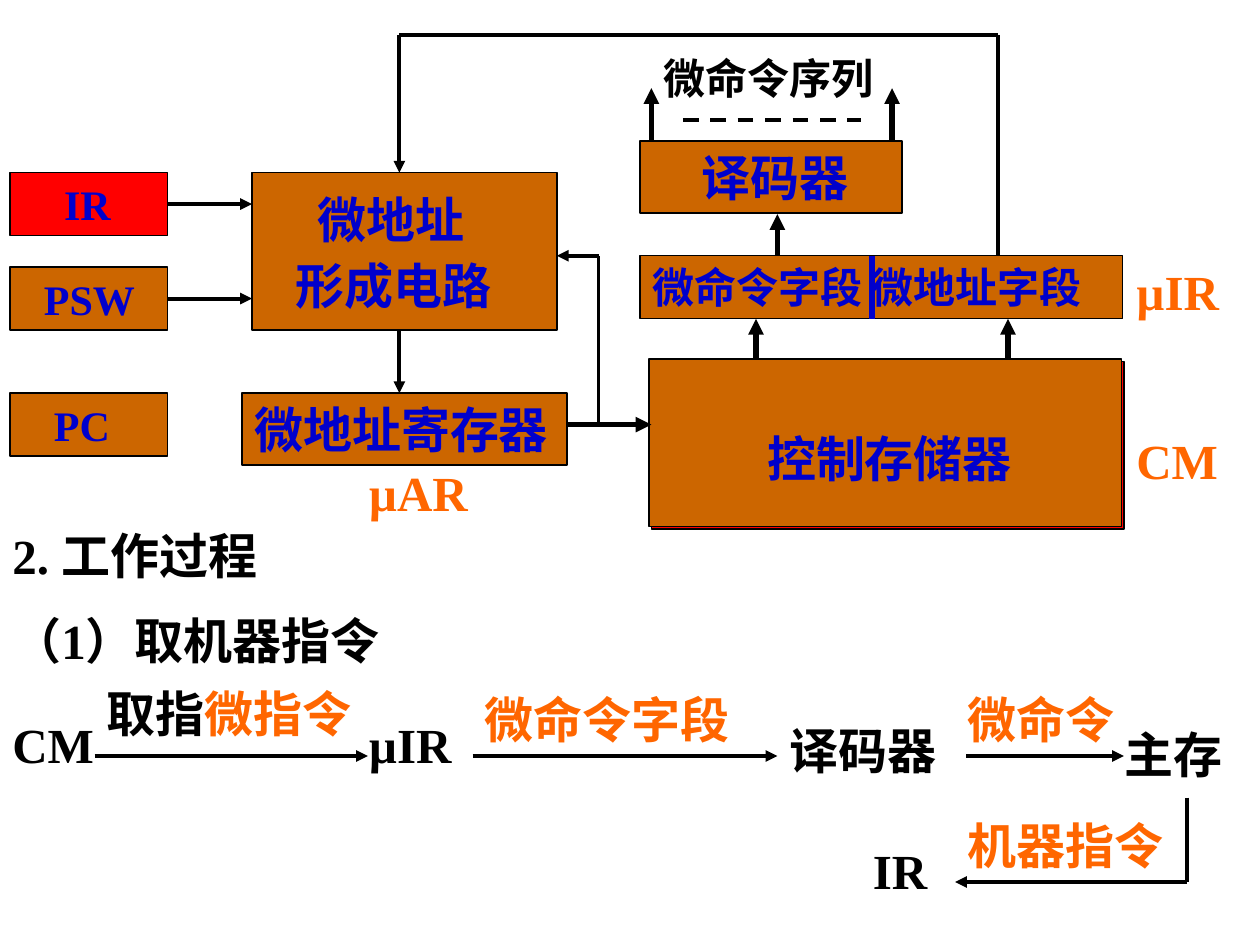
from itertools import pairwise

from lxml import etree
from pptx import Presentation
from pptx.dml.color import RGBColor
from pptx.enum.dml import MSO_LINE
from pptx.enum.shapes import MSO_CONNECTOR, MSO_SHAPE
from pptx.enum.text import MSO_ANCHOR, PP_ALIGN
from pptx.oxml.ns import qn
from pptx.util import Inches, Pt

RECT, STRAIGHT = MSO_SHAPE.RECTANGLE, MSO_CONNECTOR.STRAIGHT
DASH, TOP, LEFT = MSO_LINE.DASH, MSO_ANCHOR.TOP, PP_ALIGN.LEFT

THEME = {
    "font": "Times New Roman",
    "black": "000000", "blue": "0000CC", "orange": "FF6600",
    "brown": "CC6600", "red": "FF0000",
    "large": 28, "small": 24,
    "outline": 0.75, "thin": 2.25, "thick": 3,
}
TIGHT = 0.7

# left, top, width, height, fill, label, size, label indent
BLOCKS = [
    (2, 1.37, 2.42, 1.25, "brown", "", "large", 0),
    (0.08, 1.37, 1.25, 0.5, "red", "IR", "small", 0.33),
    (0.08, 2.12, 1.25, 0.5, "brown", "PSW", "small", 0.17),
    (0.08, 3.12, 1.25, 0.5, "brown", "PC", "small", 0.25),
    (1.92, 3.12, 2.58, 0.57, "brown", "微地址寄存器", "large", 0),
    (5.17, 2.87, 3.75, 1.33, "red", "", "large", 0),
    (5.15, 2.85, 3.75, 1.33, "brown", "", "large", 0),
    (5.08, 2.03, 3.83, 0.5, "brown", "微命令字段 微地址字段", "small", 0),
    (5.08, 1.12, 2.08, 0.57, "brown", "译码器", "large", 0.39),
]

# points, colour, weight, has an arrowhead
WIRES = [
    ([(1.33, 1.62), (2, 1.62)], "black", "thin", True),
    ([(1.33, 2.37), (2, 2.37)], "black", "thin", True),
    ([(3.17, 2.62), (3.17, 3.12)], "black", "thin", True),
    ([(4.5, 3.37), (5.17, 3.37)], "black", "thick", True),
    ([(4.75, 3.37), (4.75, 2.03), (4.42, 2.03)], "black", "thin", True),
    ([(7.92, 2.03), (7.92, 0.28), (3.17, 0.28), (3.17, 1.37)], "black", "thin", True),
    ([(6, 2.85), (6, 2.53)], "black", "thick", True),
    ([(8, 2.85), (8, 2.53)], "black", "thick", True),
    ([(6.92, 2.03), (6.92, 2.53)], "blue", "thick", False),
    ([(6.17, 2.03), (6.17, 1.7)], "black", "thick", True),
    ([(5.17, 1.12), (5.17, 0.7)], "black", "thick", True),
    ([(7.08, 1.12), (7.08, 0.7)], "black", "thick", True),
    ([(0.75, 6), (2.92, 6)], "black", "thin", True),
    ([(3.75, 6), (6.17, 6)], "black", "thin", True),
    ([(7.67, 6), (8.92, 6)], "black", "thin", True),
    ([(9.42, 6.33), (9.42, 7), (7.58, 7)], "black", "thin", True),
]
OMITTED_OUTPUTS = [(5.42, 0.95), (6.83, 0.95)]

# left, top, width, height, runs, size, line spacing, indent
LABELS = [
    (2.75, 3.62, 1.33, 0.57, [("µAR", "orange")], "large", 1, 0.08),
    (8.92, 3.37, 1.08, 0.57, [("CM", "orange")], "large", 1, 0),
    (8.92, 2.03, 1.08, 0.57, [("µIR", "orange")], "large", 1, 0),
    (5.99, 3.35, 2.33, 0.57, [("控制存储器", "blue")], "large", 1, 0),
    (5.17, 0.37, 2.08, 0.5, [("微命令序列", "black")], "small", 1, 0),
    (0, 4.25, 3.83, 0.43, [("2. 工作过程", "black")], "large", TIGHT, 0),
    (0, 4.92, 5.92, 0.43, [("（1）取机器指令", "black")], "large", TIGHT, 0),
    (0, 5.75, 1.67, 0.43, [("CM", "black")], "large", TIGHT, 0),
    (0.75, 5.5, 3, 0.43, [("取指", "black"), ("微指令", "orange")], "large", TIGHT, 0),
    (2.83, 5.75, 1.33, 0.43, [("µIR", "black")], "large", TIGHT, 0),
    (3.75, 5.42, 2.75, 0.57, [("微命令字段", "orange")], "large", 1, 0),
    (6.17, 5.67, 2.17, 0.57, [("译码器", "black")], "large", 1, 0),
    (7.58, 5.42, 2.42, 0.57, [("微命令", "orange")], "large", 1, 0),
    (8.83, 5.7, 1.17, 0.57, [("主存", "black")], "large", 1, 0),
    (7.58, 6.42, 2.42, 0.57, [("机器指令", "orange")], "large", 1, 0),
    (6.83, 6.75, 1.33, 0.43, [("IR", "black")], "large", TIGHT, 0),
]
ADDRESS_CIRCUIT = (2.25, 1.62, 2.25, 0.91)
ADDRESS_CIRCUIT_LINES = [("微地址", 0.17), ("形成电路", 0)]


def color(name):
    return RGBColor.from_string(THEME[name])


def write(paragraph, runs, size, spacing=1, indent=0, before=0):
    paragraph.alignment = LEFT
    paragraph.line_spacing = spacing
    paragraph.space_before = Pt(before)
    if indent:
        properties = paragraph._p.get_or_add_pPr()
        properties.set("marL", str(Inches(indent)))
        properties.set("indent", "0")
    for words, tint in runs:
        run = paragraph.add_run()
        run.text = words
        run.font.name = THEME["font"]
        run.font.size = Pt(THEME[size])
        run.font.bold = True
        run.font.color.rgb = color(tint)


def prepare_frame(shape):
    frame = shape.text_frame
    frame.word_wrap = True
    frame.vertical_anchor = TOP
    return frame


def add_block(slide, left, top, width, height, fill, label, size, indent):
    block = slide.shapes.add_shape(RECT, *map(Inches, (left, top, width, height)))
    block.shadow.inherit = False
    block.fill.solid()
    block.fill.fore_color.rgb = color(fill)
    block.line.color.rgb = color("black")
    block.line.width = Pt(THEME["outline"])
    if label:
        write(prepare_frame(block).paragraphs[0], [(label, "blue")], size, indent=indent)


def add_frame(slide, *bounds):
    return prepare_frame(slide.shapes.add_textbox(*map(Inches, bounds)))


def add_segment(slide, start, end, tint, weight):
    segment = slide.shapes.add_connector(STRAIGHT, *map(Inches, (*start, *end)))
    segment.line.color.rgb = color(tint)
    segment.line.width = Pt(THEME[weight])
    etree.SubElement(segment._element.spPr, qn("a:effectLst"))
    return segment


def add_wire(slide, points, tint, weight, arrow):
    """Join the points by straight segments; any arrowhead sits on the last."""
    for start, end in pairwise(points):
        segment = add_segment(slide, start, end, tint, weight)
    if arrow:
        etree.SubElement(segment.line._get_or_add_ln(), qn("a:tailEnd"), type="triangle")


def main():
    deck = Presentation()
    deck.slide_width, deck.slide_height = Inches(10), Inches(7.5)
    slide = deck.slides.add_slide(deck.slide_layouts[6])

    for block in BLOCKS:
        add_block(slide, *block)
    for wire in WIRES:
        add_wire(slide, *wire)
    add_segment(slide, *OMITTED_OUTPUTS, "black", "thin").line.dash_style = DASH

    for *bounds, runs, size, spacing, indent in LABELS:
        write(add_frame(slide, *bounds).paragraphs[0], runs, size, spacing, indent)

    circuit = add_frame(slide, *ADDRESS_CIRCUIT)
    for i, (words, indent) in enumerate(ADDRESS_CIRCUIT_LINES):
        paragraph = circuit.add_paragraph() if i else circuit.paragraphs[0]
        write(paragraph, [(words, "blue")], "large", 0.6, indent, 17.5 if i else 0)

    deck.save("out.pptx")


if __name__ == "__main__":
    main()
